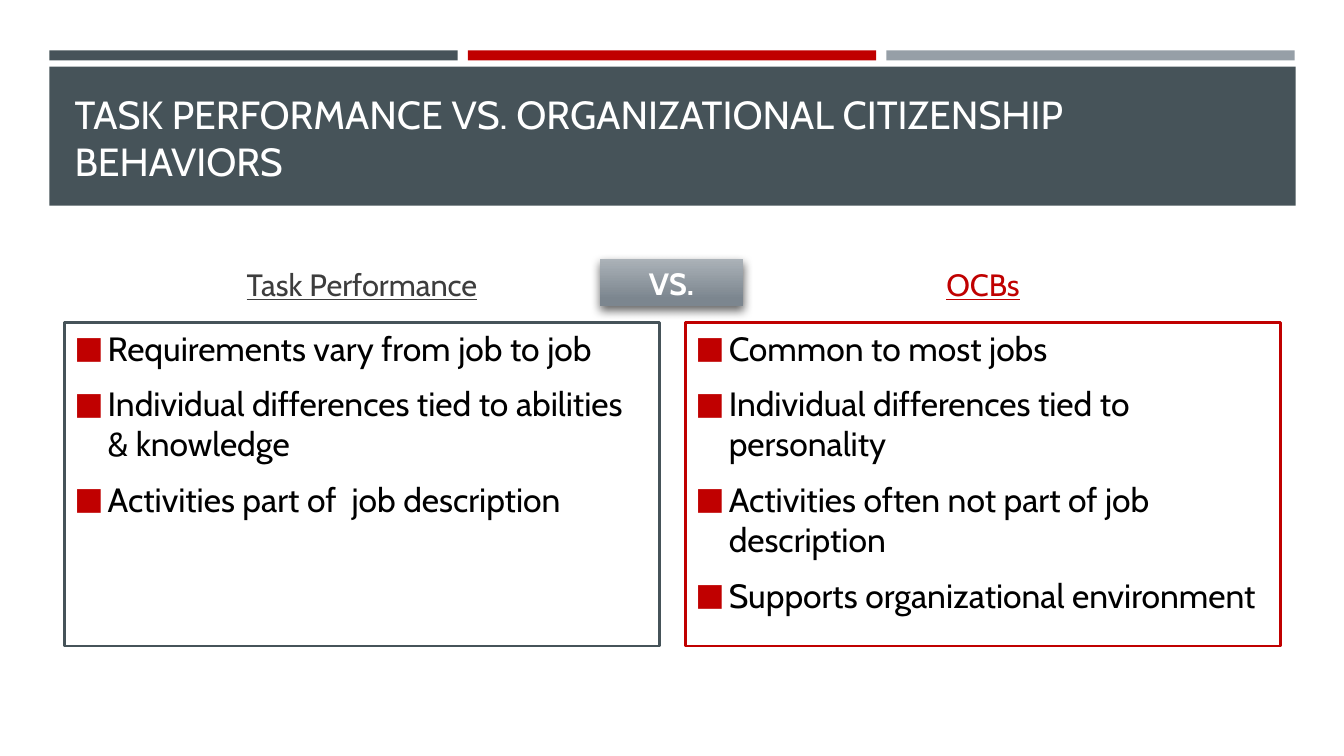
from dataclasses import dataclass

from lxml.etree import SubElement
from pptx import Presentation
from pptx.dml.color import RGBColor
from pptx.enum.shapes import MSO_SHAPE
from pptx.enum.text import MSO_ANCHOR, MSO_AUTO_SIZE, PP_ALIGN
from pptx.oxml.ns import qn
from pptx.util import Inches, Pt


@dataclass(frozen=True)
class Theme:
    font: str = "Cabin"
    slate: str = "465359"
    red: str = "C00000"
    gray: str = "969FA7"
    heading: str = "3D3D3D"
    white: str = "FFFFFF"
    black: str = "000000"
    badge_top: str = "ABB2B8"
    badge_bottom: str = "7C868F"
    title_size: int = 28
    heading_size: int = 22
    body_size: int = 24


theme = Theme()


def rect(x, y, w, h, fill, line=None):
    sp = s.shapes.add_shape(MSO_SHAPE.RECTANGLE, Inches(x), Inches(y), Inches(w), Inches(h))
    sp.shadow.inherit = False
    sp.fill.solid()
    sp.fill.fore_color.rgb = RGBColor.from_string(fill)
    if line:
        sp.line.color.rgb = RGBColor.from_string(line)
        sp.line.width = Pt(1.75)
    else:
        sp.line.fill.background()
    return sp


def write(tf, text, size, color, align=PP_ALIGN.LEFT, anchor=MSO_ANCHOR.BOTTOM,
          bold=False, underline=False, spaced=False, bullet=None):
    tf.word_wrap = True
    tf.auto_size = MSO_AUTO_SIZE.NONE
    tf.vertical_anchor = anchor
    p = tf.add_paragraph() if tf.text else tf.paragraphs[0]
    p.alignment = align
    if spaced:
        p.space_before, p.space_after = Pt(size * 0.2), Pt(6)
    if bullet:
        pPr = p._p.get_or_add_pPr()
        pPr.set("marL", str(Inches(0.33)))
        pPr.set("indent", str(-Inches(0.33)))
        SubElement(SubElement(pPr, qn("a:buClr")), qn("a:srgbClr")).set("val", bullet)
        SubElement(pPr, qn("a:buSzPct")).set("val", "92000")
        SubElement(pPr, qn("a:buFont")).set("typeface", theme.font)
        SubElement(pPr, qn("a:buChar")).set("char", "■")
    r = p.add_run()
    r.text = text
    r.font.name = theme.font
    r.font.size = Pt(size)
    r.font.bold = bold
    r.font.underline = underline
    r.font.color.rgb = RGBColor.from_string(color)


prs = Presentation()
prs.slide_width, prs.slide_height = Inches(13.33), Inches(7.5)
s = prs.slides.add_slide(prs.slide_layouts[5])

for i, color in enumerate((theme.slate, theme.red, theme.gray)):
    rect(0.49 + i * 4.15, 0.5, 4.05, 0.1, color)
rect(0.49, 0.66, 12.36, 1.38, theme.slate)

title = s.shapes.title
title.left, title.top = Inches(0.64), Inches(0.8)
title.width, title.height = Inches(12.06), Inches(1.08)
title.element.getparent().append(title.element)
write(title.text_frame, "TASK PERFORMANCE VS. ORGANIZATIONAL CITIZENSHIP BEHAVIORS",
      theme.title_size, theme.white)

columns = (
    ("Task Performance", theme.heading, theme.slate, (
        "Requirements vary from job to job",
        "Individual differences tied to abilities & knowledge",
        "Activities part of  job description",
    )),
    ("OCBs", theme.red, theme.red, (
        "Common to most jobs",
        "Individual differences tied to personality",
        "Activities often not part of job description",
        "Supports organizational environment",
    )),
)
for i, (heading, color, border, points) in enumerate(columns):
    x = 0.64 + i * 6.16
    tb = s.shapes.add_textbox(Inches(x), Inches(2.45), Inches(5.9), Inches(0.6))
    write(tb.text_frame, heading, theme.heading_size, color,
          align=PP_ALIGN.CENTER, underline=True, spaced=True)
    panel = rect(x, 3.2, 5.9, 3.21, theme.white, line=border)
    for point in points:
        write(panel.text_frame, point, theme.body_size, theme.black,
              anchor=MSO_ANCHOR.TOP, spaced=True, bullet=theme.red)

badge = rect(5.95, 2.57, 1.42, 0.47, theme.gray)
badge.fill.gradient()
badge.fill.gradient_angle = 270
stops = ((0, theme.badge_top), (0.84, theme.badge_bottom))
for stop, (position, color) in zip(badge.fill.gradient_stops, stops):
    stop.position = position
    stop.color.rgb = RGBColor.from_string(color)
effects = badge.element.spPr.find(qn("a:effectLst"))
shadow = SubElement(effects, qn("a:outerShdw"), blurRad=str(Pt(7)), dist=str(Pt(3)),
                    dir="5040000", rotWithShape="0")
shade = SubElement(shadow, qn("a:srgbClr"), val=theme.black)
SubElement(shade, qn("a:alpha"), val="60000")
write(badge.text_frame, "VS.", theme.heading_size, theme.white,
      align=PP_ALIGN.CENTER, bold=True)

prs.save("out.pptx")
